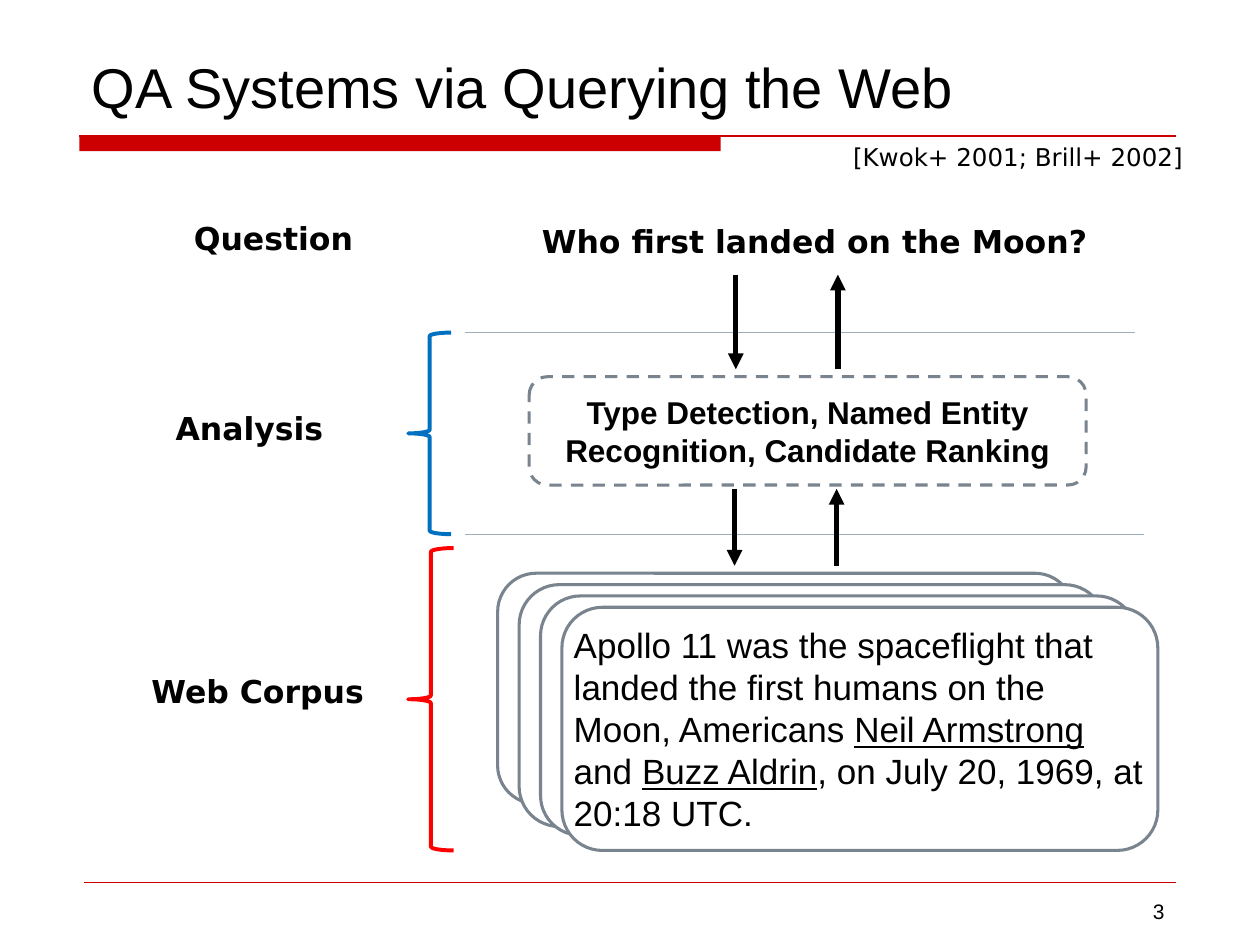
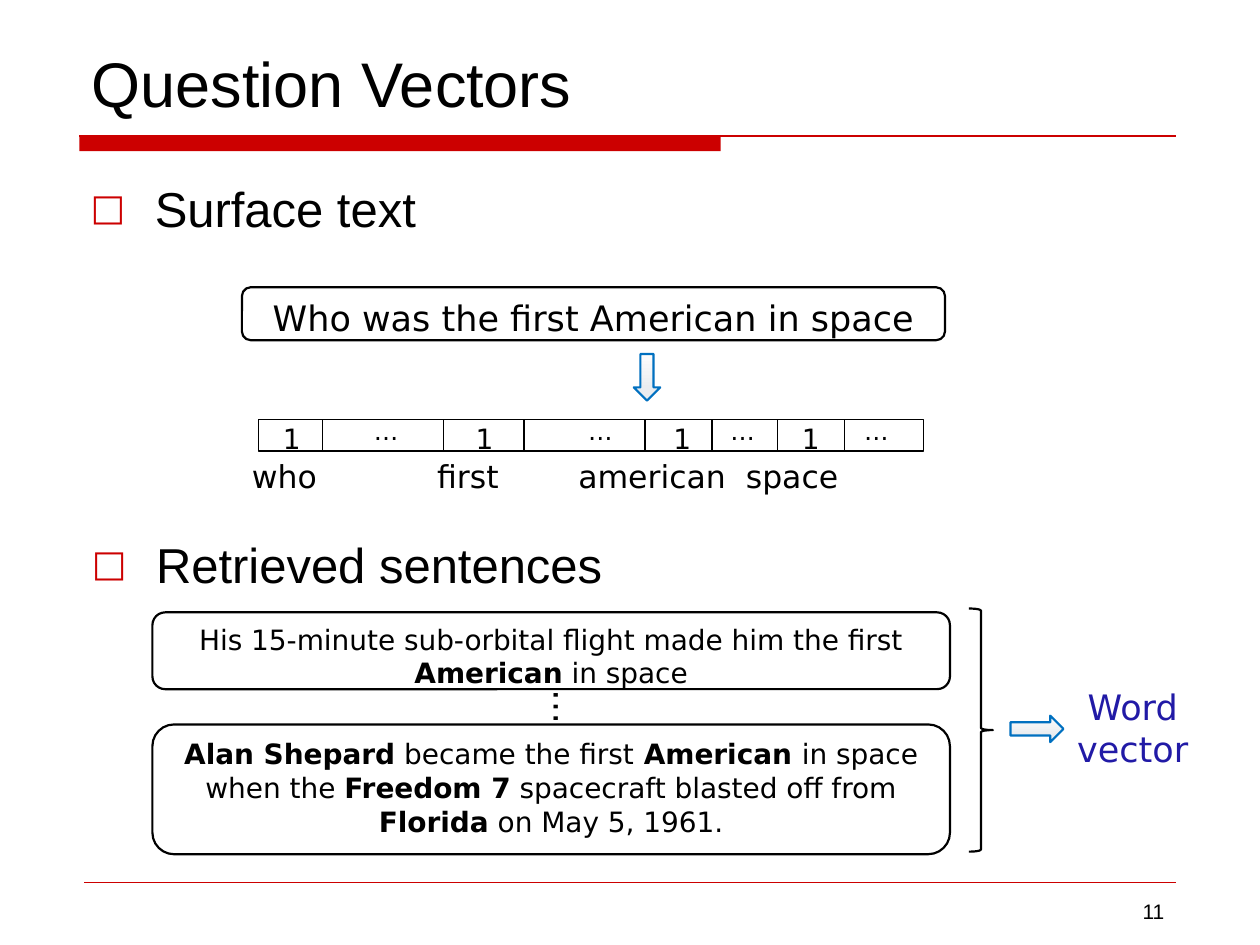
from lxml.etree import SubElement
from pptx import Presentation
from pptx.dml.color import RGBColor
from pptx.enum.dml import MSO_LINE
from pptx.enum.shapes import MSO_CONNECTOR, MSO_SHAPE
from pptx.enum.text import MSO_ANCHOR, MSO_AUTO_SIZE, PP_ALIGN
from pptx.oxml.ns import qn
from pptx.util import Inches, Pt

BLACK = RGBColor(0x00, 0x00, 0x00)
WHITE = RGBColor(0xFF, 0xFF, 0xFF)
BAND_RED = RGBColor(0xCC, 0x00, 0x00)
CORPUS_RED = RGBColor(0xFF, 0x00, 0x00)
BLUE = RGBColor(0x00, 0x70, 0xC0)
INDIGO = RGBColor(0x21, 0x1A, 0xA6)
CARD_GRAY = RGBColor(0x79, 0x84, 0x8F)
RULE_GRAY = RGBColor(0x9F, 0xAE, 0xBD)
ARROW_LIGHT = RGBColor(0xFD, 0xFD, 0xFD)
ARROW_SHADE = RGBColor(0xE9, 0xEC, 0xF0)
SANS = "Arial"
DEJAVU = "DejaVu Sans"


def write(shape, text, size=18, font=DEJAVU, color=BLACK, bold=False, emphasis="bold",
          align=PP_ALIGN.CENTER, anchor=MSO_ANCHOR.TOP, inset=(0.1, 0.05), bullet=None):
    frame = shape.text_frame
    frame.word_wrap = True
    frame.auto_size = MSO_AUTO_SIZE.NONE
    frame.vertical_anchor = anchor
    frame.margin_left = frame.margin_right = Inches(inset[0])
    frame.margin_top = frame.margin_bottom = Inches(inset[1])
    paragraph = frame.paragraphs[0]
    paragraph.alignment = align
    if bullet:
        add_bullet(paragraph, bullet)
    for index, part in enumerate(text.split("*")):
        if not part:
            continue
        run = paragraph.add_run()
        run.text = part
        run.font.name = font
        run.font.size = Pt(size)
        run.font.color.rgb = color
        run.font.bold = bold
        if index % 2:
            setattr(run.font, emphasis, True)


def add_bullet(paragraph, symbol):
    properties = paragraph._p.get_or_add_pPr()
    properties.set("marL", str(Inches(0.51)))
    properties.set("indent", str(Inches(-0.51)))
    color = SubElement(properties, qn("a:buClr"))
    SubElement(color, qn("a:srgbClr"), val=str(BAND_RED))
    SubElement(properties, qn("a:buSzPct"), val="75000")
    SubElement(properties, qn("a:buFont"), typeface=DEJAVU)
    SubElement(properties, qn("a:buChar"), char=symbol)


def add_text(slide, box, text, **style):
    label = slide.shapes.add_textbox(*map(Inches, box))
    write(label, text, **style)
    return label


def add_outline(slide, kind, box, line=None, width=1.25, fill=None):
    outline = slide.shapes.add_shape(kind, *map(Inches, box))
    outline.shadow.inherit = False
    if fill is None:
        outline.fill.background()
    else:
        outline.fill.solid()
        outline.fill.fore_color.rgb = fill
    if line is None:
        outline.line.fill.background()
    else:
        outline.line.color.rgb = line
        outline.line.width = Pt(width)
    return outline


def add_line(slide, start, end, color=BLACK, width=0.75, arrow=False):
    line = slide.shapes.add_connector(MSO_CONNECTOR.STRAIGHT, *map(Inches, (*start, *end)))
    line.line.color.rgb = color
    line.line.width = Pt(width)
    if arrow:
        SubElement(line.line._get_or_add_ln(), qn("a:tailEnd"), type="triangle")
    SubElement(line._element.spPr, qn("a:effectLst"))


def add_block_arrow(slide, kind, box):
    arrow = add_outline(slide, kind, box, line=BLUE)
    arrow.fill.gradient()
    arrow.fill.gradient_angle = 270
    for stop, color, position in zip(arrow.fill.gradient_stops,
                                     (ARROW_LIGHT, ARROW_SHADE), (0, 0.74)):
        stop.color.rgb = color
        stop.position = position


def add_titled_slide(deck, title, number, size):
    slide = deck.slides.add_slide(deck.slide_layouts[5])
    add_outline(slide, MSO_SHAPE.RECTANGLE, (0.63, 1.08, 5.09, 0.12), fill=BAND_RED)
    add_line(slide, (0.63, 1.08), (9.33, 1.08), BAND_RED)
    add_line(slide, (0.67, 7), (9.33, 7), BAND_RED, 0.25)
    heading = slide.shapes.title
    heading.left, heading.top, heading.width, heading.height = map(
        Inches, (0.63, 0.17, 8.75, 0.83))
    write(heading, title, size=size, font=SANS, align=PP_ALIGN.LEFT, anchor=MSO_ANCHOR.BOTTOM)
    add_text(slide, (7.17, 7.08, 2.17, 0.42), number, size=12, font=SANS,
             align=PP_ALIGN.RIGHT)
    return slide


def add_stage_labels(slide, left, top):
    for x, y, width, stage in ((0.73, 0, 1.78, "Question"),
                               (0, 1.51, 2.86, "Analysis"),
                               (0.34, 3.59, 2.31, "Web Corpus")):
        add_text(slide, (left + x, top + y, width, 0.3), stage, bold=True, inset=(0, 0))
    for y, width, height, color in ((0.9, 0.34, 1.6, BLUE), (2.61, 0.36, 2.4, CORPUS_RED)):
        add_outline(slide, MSO_SHAPE.LEFT_BRACE, (left + 2.69, top + y, width, height),
                    color, 2.25)


def add_flow(slide, left, top):
    add_text(slide, (left + 0.4, top, 4.75, 0.4), "Who first landed on the Moon?", bold=True)
    for y, length in ((0.93, 5.32), (2.53, 5.39)):
        add_line(slide, (left, top + y), (left + length, top + y), RULE_GRAY)
    analysis = add_outline(slide, MSO_SHAPE.ROUNDED_RECTANGLE,
                           (left + 0.51, top + 1.28, 4.42, 0.86), CARD_GRAY, 1.75)
    analysis.line.dash_style = MSO_LINE.DASH
    write(analysis, "Type Detection, Named Entity Recognition, Candidate Ranking",
          font=SANS, bold=True, anchor=MSO_ANCHOR.MIDDLE, inset=(0, 0))
    for down, up, upper, lower in ((2.15, 2.96, 0.47, 1.22), (2.14, 2.95, 2.17, 2.78)):
        add_line(slide, (left + down, top + upper), (left + down, top + lower),
                 width=3, arrow=True)
        add_line(slide, (left + up, top + lower), (left + up, top + upper),
                 width=3, arrow=True)


def add_document_stack(slide, left, top):
    sizes = ((4.57, 1.83), (4.65, 1.92), (4.73, 1.9), (4.73, 1.93))
    for index, (width, height) in enumerate(sizes):
        card = add_outline(slide, MSO_SHAPE.ROUNDED_RECTANGLE,
                           (left + index * 0.17, top + index * 0.09, width, height),
                           CARD_GRAY, 1.75, WHITE)
    write(card, "Apollo 11 was the spaceflight that landed the first humans on the Moon, "
          "Americans *Neil Armstrong* and *Buzz Aldrin*, on July 20, 1969, at 20:18 UTC.",
          size=20, font=SANS, emphasis="underline", align=PP_ALIGN.LEFT,
          anchor=MSO_ANCHOR.MIDDLE, inset=(0, 0))


def add_bullet_heading(slide, left, top, text):
    add_text(slide, (left, top, 8.75, 0.6), text, size=28, font=SANS,
             align=PP_ALIGN.LEFT, bullet="□")


def add_question_vector(slide, left, top):
    question = add_outline(slide, MSO_SHAPE.ROUNDED_RECTANGLE, (left, top, 5.58, 0.42), BLACK)
    write(question, "Who was the first American in space", size=20)
    add_block_arrow(slide, MSO_SHAPE.DOWN_ARROW, (left + 3.11, top + 0.53, 0.21, 0.37))
    row = top + 1.05
    add_outline(slide, MSO_SHAPE.RECTANGLE, (left + 0.13, row, 5.28, 0.25), BLACK, 0.75)
    for x in (0.64, 1.6, 2.24, 3.2, 3.73, 4.25, 4.78):
        add_line(slide, (left + x, row), (left + x, row + 0.25))
    for x in (0.13, 1.66, 3.23, 4.25):
        add_text(slide, (left + x, row - 0.03, 0.53, 0.37), "1", size=16)
    for x in (0.88, 2.58, 3.71, 4.77):
        add_text(slide, (left + x, row - 0.08, 0.53, 0.34), "…", size=14)
    for x, word in ((0.08, "who"), (1.55, "first"), (2.67, "american"), (4, "space")):
        add_text(slide, (left + x, row + 0.25, 1.4, 0.4), word,
                 align=PP_ALIGN.LEFT, inset=(0, 0.05))


def add_retrieved_sentences(slide, left, top):
    sentences = (
        (0, 0.61, "His 15-minute sub-orbital flight made him the first *American* in space"),
        (0.89, 1.03, "*Alan Shepard* became the first* American *in space when the *Freedom 7* "
                     "spacecraft blasted off from *Florida* on May 5, 1961."),
    )
    for y, height, sentence in sentences:
        card = add_outline(slide, MSO_SHAPE.ROUNDED_RECTANGLE,
                           (left, top + y, 6.33, height), BLACK)
        write(card, sentence, size=16)
    dots = add_text(slide, (left + 3.01, top + 0.53, 0.56, 0.44), "…", size=20)
    dots.rotation = 90
    add_outline(slide, MSO_SHAPE.RIGHT_BRACE, (left + 6.48, top - 0.03, 0.19, 1.93), BLACK)
    add_block_arrow(slide, MSO_SHAPE.RIGHT_ARROW, (left + 6.81, top + 0.82, 0.42, 0.21))
    add_text(slide, (left + 7.24, top + 0.53, 1.08, 0.77), "Word vector", size=20,
             color=INDIGO, inset=(0, 0.05))


def build_querying_slide(deck):
    slide = add_titled_slide(deck, "QA Systems via Querying the Web", "3", 32)
    add_document_stack(slide, 3.95, 4.55)
    add_flow(slide, 3.69, 1.71)
    add_stage_labels(slide, 0.55, 1.74)
    add_text(slide, (6.64, 1.08, 2.88, 0.34), "[Kwok+ 2001; Brill+ 2002]",
             size=14, inset=(0, 0.05))


def build_vectors_slide(deck):
    slide = add_titled_slide(deck, "Question Vectors", "11", 36)
    add_bullet_heading(slide, 0.62, 1.37, "Surface text")
    add_question_vector(slide, 1.92, 2.28)
    add_bullet_heading(slide, 0.63, 4.19, "Retrieved sentences")
    add_retrieved_sentences(slide, 1.21, 4.86)


def main():
    deck = Presentation()
    deck.slide_width = Inches(10)
    deck.slide_height = Inches(7.5)
    build_querying_slide(deck)
    build_vectors_slide(deck)
    deck.save("out.pptx")


if __name__ == "__main__":
    main()
